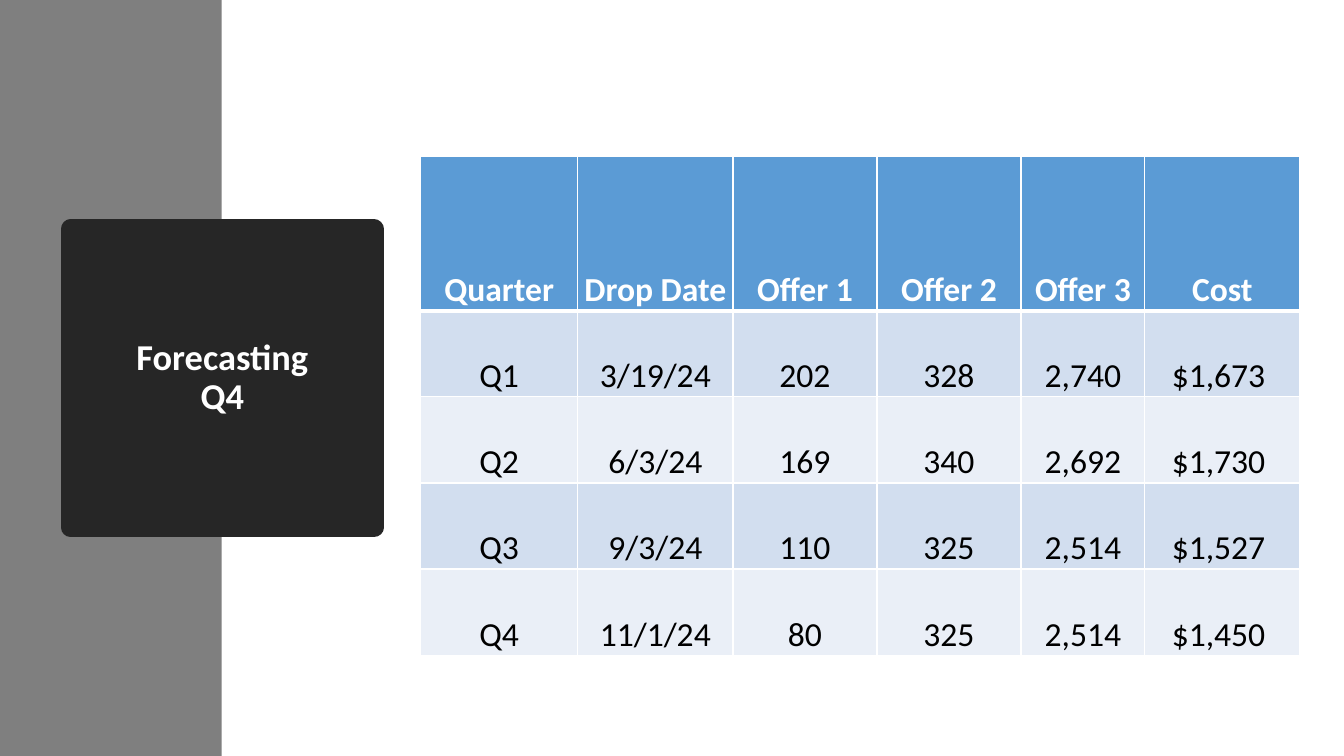
from dataclasses import dataclass

from lxml import etree
from pptx import Presentation
from pptx import util as u
from pptx.dml.color import RGBColor
from pptx.enum import shapes, text
from pptx.oxml.ns import qn


@dataclass(frozen=True)
class Theme:
    font: str = "Calibri"
    white: str = "FFFFFF"
    black: str = "000000"
    sidebar: str = "7F7F7F"
    title_card: str = "262626"
    header: str = "5B9BD5"
    bands: tuple = ("D2DEEF", "EAEFF7")
    title_size: float = 26
    table_size: float = 24
    card_line: float = 13.75
    grid_line: float = 1
    header_line: float = 3


THEME = Theme()

HEADINGS = ("Quarter", "Drop Date", "Offer 1", "Offer 2", "Offer 3", "Cost")
FORECAST = (
    ("Q1", "3/19/24", "202", "328", "2,740", "$1,673 "),
    ("Q2", "6/3/24", "169", "340", "2,692", "$1,730 "),
    ("Q3", "9/3/24", "110", "325", "2,514", "$1,527 "),
    ("Q4", "11/1/24", "80", "325", "2,514", "$1,450 "),
)
COLUMN_WIDTHS = (3.96, 3.91, 3.63, 3.63, 3.12, 3.91)
HEADER_HEIGHT, ROW_HEIGHT = 3.89, 2.17


def set_all(target, values):
    for name, value in values.items():
        setattr(target, name, value)


def paint(fill, color):
    fill.solid()
    fill.fore_color.rgb = RGBColor.from_string(color)


def write(frame, words, size, color, bold):
    """Fill a text frame with one centred paragraph."""
    paragraph = frame.paragraphs[0]
    paragraph.text = words
    paragraph.alignment = text.PP_ALIGN.CENTER
    for run in paragraph.runs:
        set_all(run.font, {"name": THEME.font, "size": u.Pt(size), "bold": bold})
        run.font.color.rgb = RGBColor.from_string(color)
    return paragraph


def add_block(slide, left, top, width, height, color):
    block = slide.shapes.add_shape(
        shapes.MSO_SHAPE.RECTANGLE, u.Cm(left), u.Cm(top), u.Cm(width), u.Cm(height))
    block.shadow.inherit = False
    paint(block.fill, color)
    block.line.fill.background()
    return block


def add_title_card(slide, words):
    card = add_block(slide, 1.78, 5.77, 7.65, 7.52, THEME.title_card)
    # A thick line with round joins softens the corners
    paint(card.line.fill, THEME.title_card)
    card.line.width = u.Pt(THEME.card_line)
    outline = card.element.spPr.find(qn("a:ln"))
    etree.SubElement(outline, qn("a:round"))
    set_all(card.text_frame, {
        "word_wrap": True, "vertical_anchor": text.MSO_ANCHOR.MIDDLE})
    title = write(card.text_frame, words, THEME.title_size, THEME.white, True)
    title.line_spacing = 0.9


def add_borders(cell, widths):
    properties = cell._tc.get_or_add_tcPr()
    for side, width in widths.items():
        line = etree.SubElement(properties, qn(f"a:ln{side}"), w=str(u.Pt(width)))
        solid = etree.SubElement(line, qn("a:solidFill"))
        etree.SubElement(solid, qn("a:srgbClr"), val=THEME.white)


def format_cell(cell, words, row):
    is_header = row == 0
    thin, thick = THEME.grid_line, THEME.header_line
    add_borders(cell, {"L": thin, "R": thin,
                       "T": thick if row == 1 else thin,
                       "B": thick if is_header else thin})
    paint(cell.fill, THEME.header if is_header else THEME.bands[(row - 1) % 2])
    set_all(cell, {
        "margin_left": u.Cm(0.05), "margin_right": u.Cm(0.05),
        "margin_top": u.Cm(0.05), "margin_bottom": 0,
        "vertical_anchor": text.MSO_ANCHOR.BOTTOM})
    write(cell.text_frame, words, THEME.table_size,
          THEME.white if is_header else THEME.black, is_header)


def add_forecast_table(slide, left, top):
    rows = (HEADINGS, *FORECAST)
    heights = (HEADER_HEIGHT, *[ROW_HEIGHT] * len(FORECAST))
    forecast = slide.shapes.add_table(
        len(rows), len(HEADINGS), u.Cm(left), u.Cm(top),
        u.Cm(sum(COLUMN_WIDTHS)), u.Cm(sum(heights))).table
    forecast.horz_banding = False
    for column, width in zip(forecast.columns, COLUMN_WIDTHS):
        column.width = u.Cm(width)
    for row, (entries, height) in enumerate(zip(rows, heights)):
        forecast.rows[row].height = u.Cm(height)
        for column, words in enumerate(entries):
            format_cell(forecast.cell(row, column), words, row)


def main():
    deck = Presentation()
    set_all(deck, {"slide_width": u.Cm(33.87), "slide_height": u.Cm(19.05)})
    slide = deck.slides.add_slide(deck.slide_layouts[6])

    # Sidebar and title
    add_block(slide, 0, 0, 5.59, 19.05, THEME.sidebar)
    add_title_card(slide, "Forecasting\nQ4")

    # Quarterly figures
    add_forecast_table(slide, 10.6, 3.94)

    deck.save("out.pptx")


if __name__ == "__main__":
    main()
